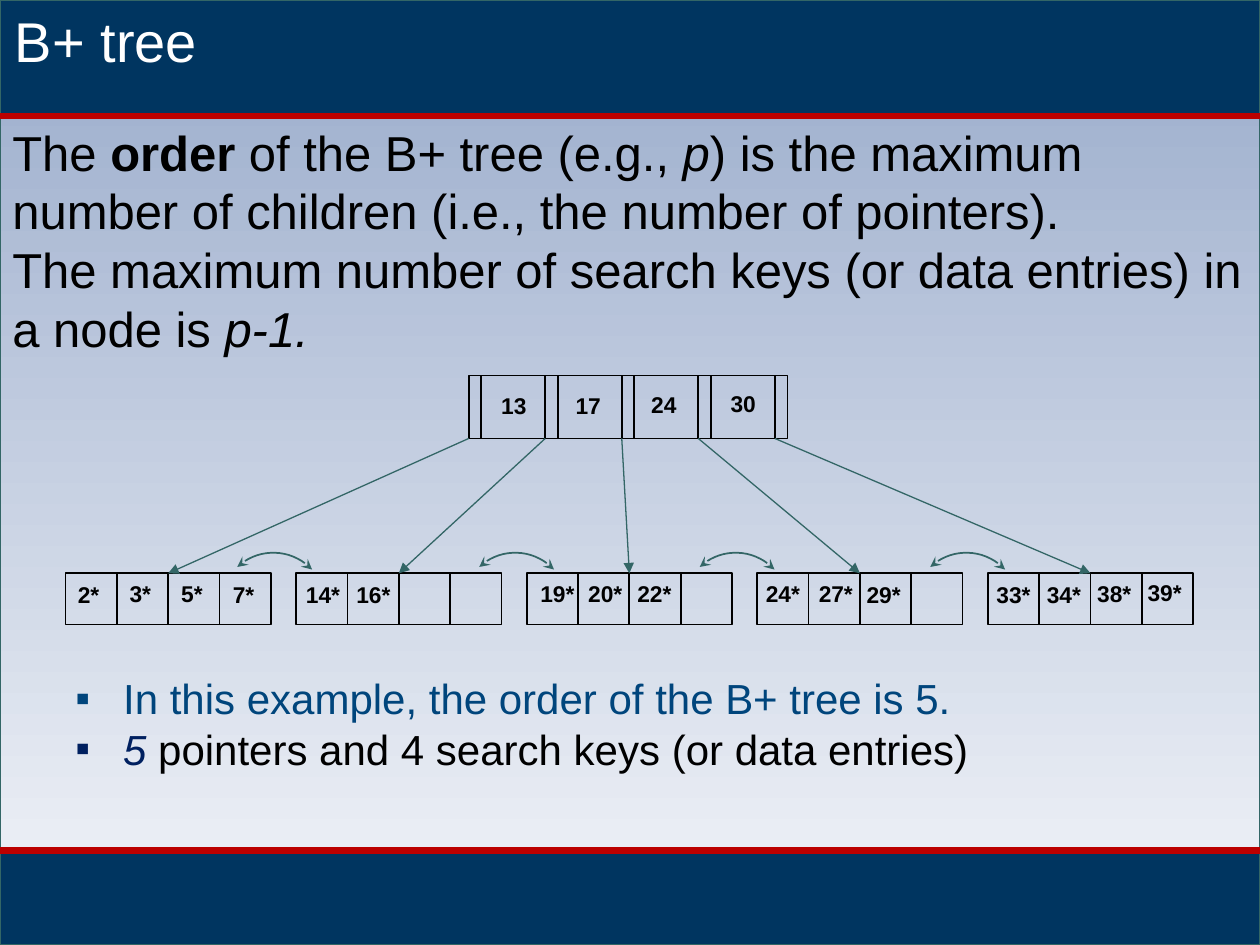
import math
import pptx
import pptx.util
import pptx.dml.color
import pptx.enum.shapes
import pptx.oxml
import pptx.oxml.ns
from lxml import etree

Inches = pptx.util.Inches
Pt = pptx.util.Pt
qn = pptx.oxml.ns.qn
RGB = pptx.dml.color.RGBColor.from_string
RECT = pptx.enum.shapes.MSO_SHAPE.RECTANGLE
STRAIGHT = pptx.enum.shapes.MSO_CONNECTOR.STRAIGHT

theme = {
    "font": "Arial", "title": 32, "body": 28, "list": 24, "key": 13,
    "navy": "003560", "red": "BC0000", "teal": "336666",
    "sky": "99ABCB", "pale": "F3F5F9", "black": "000000",
    "white": "FFFFFF", "blue": "00457C", "deep": "002060",
}

deck = pptx.Presentation()
deck.slide_width = Inches(10)
deck.slide_height = Inches(7.5)
slide = deck.slides.add_slide(deck.slide_layouts[6])
shapes = slide.shapes


def link(x1, y1, x2, y2, hue, width):
    line = shapes.add_connector(STRAIGHT, Inches(x1), Inches(y1), Inches(x2), Inches(y2))
    line.line.color.rgb = RGB(theme[hue])
    line.line.width = Pt(width)
    etree.SubElement(line._element.spPr, qn("a:effectLst"))
    return line


def write(left, top, width, height, size, paras, wrap=True):
    frame = shapes.add_textbox(Inches(left), Inches(top), Inches(width), Inches(height)).text_frame
    frame.word_wrap = wrap
    for i, runs in enumerate(paras):
        para = frame.add_paragraph() if i else frame.paragraphs[0]
        for text, hue, style in runs:
            run = para.add_run()
            run.text = text
            run.font.name = theme["font"]
            run.font.size = Pt(theme[size])
            run.font.color.rgb = RGB(theme[hue])
            run.font.bold = style == "bold"
            run.font.italic = style == "italic"
    return frame


for top, height, hue in [(0, 7.5, None), (6.75, 0.75, "navy"), (0, 0.92, "navy")]:
    band = shapes.add_shape(RECT, 0, Inches(top), Inches(10), Inches(height))
    band.shadow.inherit = False
    band.line.color.rgb = RGB(theme["teal"])
    band.line.width = Pt(0.75)
    if hue:
        band.fill.solid()
        band.fill.fore_color.rgb = RGB(theme[hue])
    else:
        band.fill.gradient()
        band.fill.gradient_angle = 270
        for stop, shade in zip(band.fill.gradient_stops, ["sky", "pale"]):
            stop.color.rgb = RGB(theme[shade])

for y in [0.92, 6.75]:
    link(0, y, 10, y, "red", 3.75)

write(0.02, 0, 9.98, 0.64, "title", [[("B+ tree", "white", "")]])
write(0, 0.92, 10, 1.99, "body", [
    [("The ", "black", ""), ("order", "black", "bold"),
     (" of the B+ tree (e.g., ", "black", ""), ("p", "black", "italic"),
     (") is the maximum number of children (i.e., the number of pointers).", "black", "")],
    [("The maximum number of search keys (or data entries) in a node is ", "black", ""),
     ("p-1.", "black", "italic")],
])

root_x, root_y, root_h, step = 3.72, 2.98, 0.5, 2.43 / 4
leaf_x, leaf_y, pitch, cell = 0.52, 4.55, 1.83, 1.63 / 4
slot = 0.1

cells = [(root_x + i * step, root_y, step, root_h) for i in range(4)]
cells.append((root_x + 4 * step, root_y, slot, root_h))
for leaf in range(5):
    for i in range(4):
        cells.append((leaf_x + leaf * pitch + i * cell, leaf_y, cell, cell))
for area in cells:
    box = shapes.add_shape(RECT, *[Inches(n) for n in area])
    box.shadow.inherit = False
    box.fill.background()
    box.line.color.rgb = RGB(theme["black"])
    box.line.width = Pt(1)

for i in range(4):
    x = root_x + i * step + slot
    link(x, root_y, x, root_y + root_h, "black", 1)

keys = [
    ("13", 3.88, 3.06), ("17", 4.47, 3.06), ("24", 5.07, 3.05), ("30", 5.7, 3.04),
    ("2*", 0.52, 4.56), ("3*", 0.93, 4.55), ("5*", 1.34, 4.55), ("7*", 1.75, 4.56),
    ("14*", 2.33, 4.56), ("16*", 2.73, 4.56),
    ("19*", 4.19, 4.55), ("20*", 4.57, 4.55), ("22*", 4.96, 4.55),
    ("24*", 5.98, 4.55), ("27*", 6.4, 4.55), ("29*", 6.78, 4.56),
    ("33*", 7.81, 4.56), ("34*", 8.21, 4.56), ("38*", 8.61, 4.55), ("39*", 9.01, 4.54),
]
for text, x, y in keys:
    if text.endswith("*"):
        width = 0.47 if len(text) == 3 else 0.37
    else:
        width = 0.4
    write(x, y, width, 0.32, "key", [[(text, "black", "bold")]], False)

tips = []
span = 0.42
for x in [1.97, 3.89, 5.64, 7.47]:
    turns = [math.radians(5 * n) for n in range(19)]
    dots = [(Inches(x + span * math.sin(t)), Inches(4.3 + span * (1 - math.cos(t)))) for t in turns]
    pen = shapes.build_freeform(*dots[0])
    pen.add_line_segments(dots[1:], close=False)
    arc = pen.convert_to_shape()
    arc.rotation = 317
    arc.shadow.inherit = False
    arc.fill.background()
    arc.line.color.rgb = RGB(theme["teal"])
    arc.line.width = Pt(1)
    tips += [(arc, "a:headEnd", "stealth"), (arc, "a:tailEnd", "stealth")]

for i in range(5):
    arrow = link(root_x + i * step, root_y + root_h,
                 leaf_x + i * pitch + 2 * cell, leaf_y, "teal", 0.75)
    tips.append((arrow, "a:tailEnd", "triangle"))

for shape, end, kind in tips:
    etree.SubElement(shape._element.spPr.find(qn("a:ln")), qn(end), type=kind)

notes = write(0, 5.29, 10, 0.91, "list", [
    [("In this example, the order of the B+ tree is 5.", "blue", "")],
    [("5", "deep", "italic"), (" pointers and 4 search keys (or data entries)", "black", "")],
])
for para in notes.paragraphs:
    para.level = 1
    props = para._p.get_or_add_pPr()
    props.set("marL", str(Inches(0.88)))
    props.set("indent", str(Inches(-0.38)))
    etree.SubElement(props, qn("a:buFont"), typeface=theme["font"])
    etree.SubElement(props, qn("a:buChar"), char="▪")

deck.save("out.pptx")
